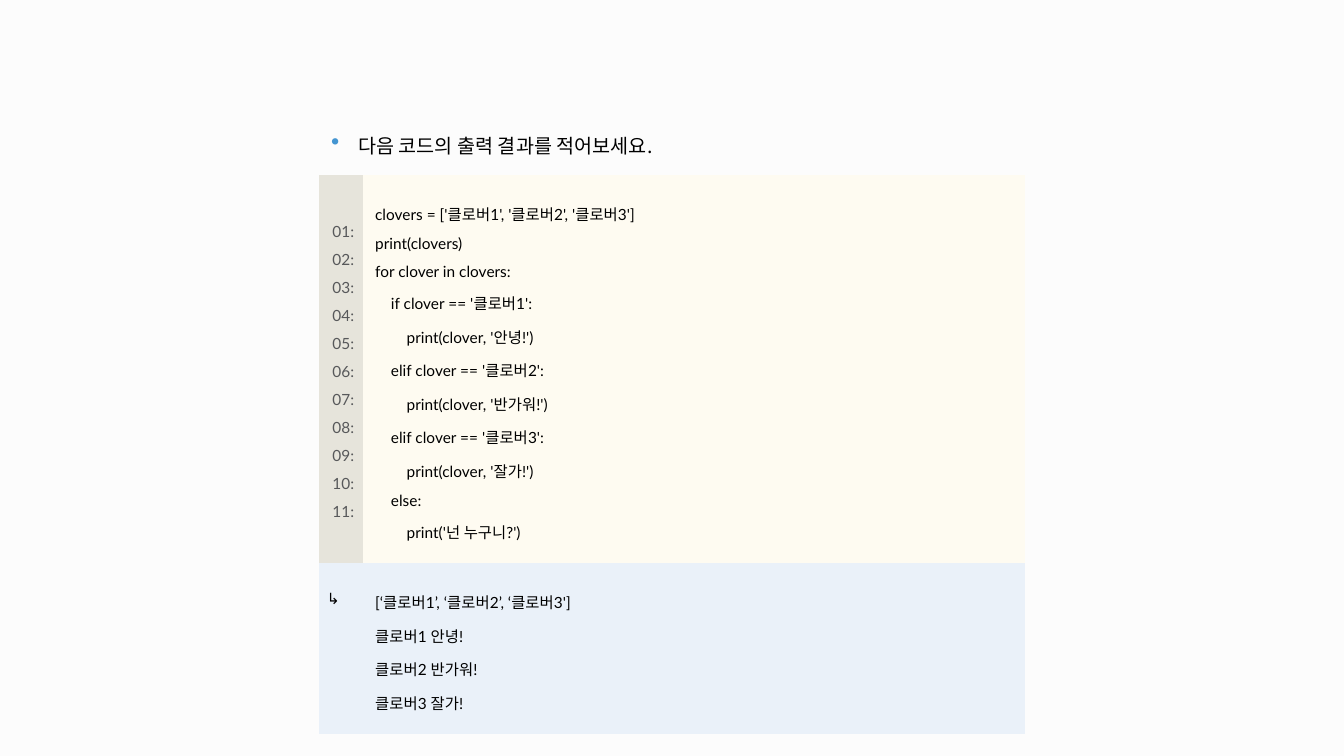
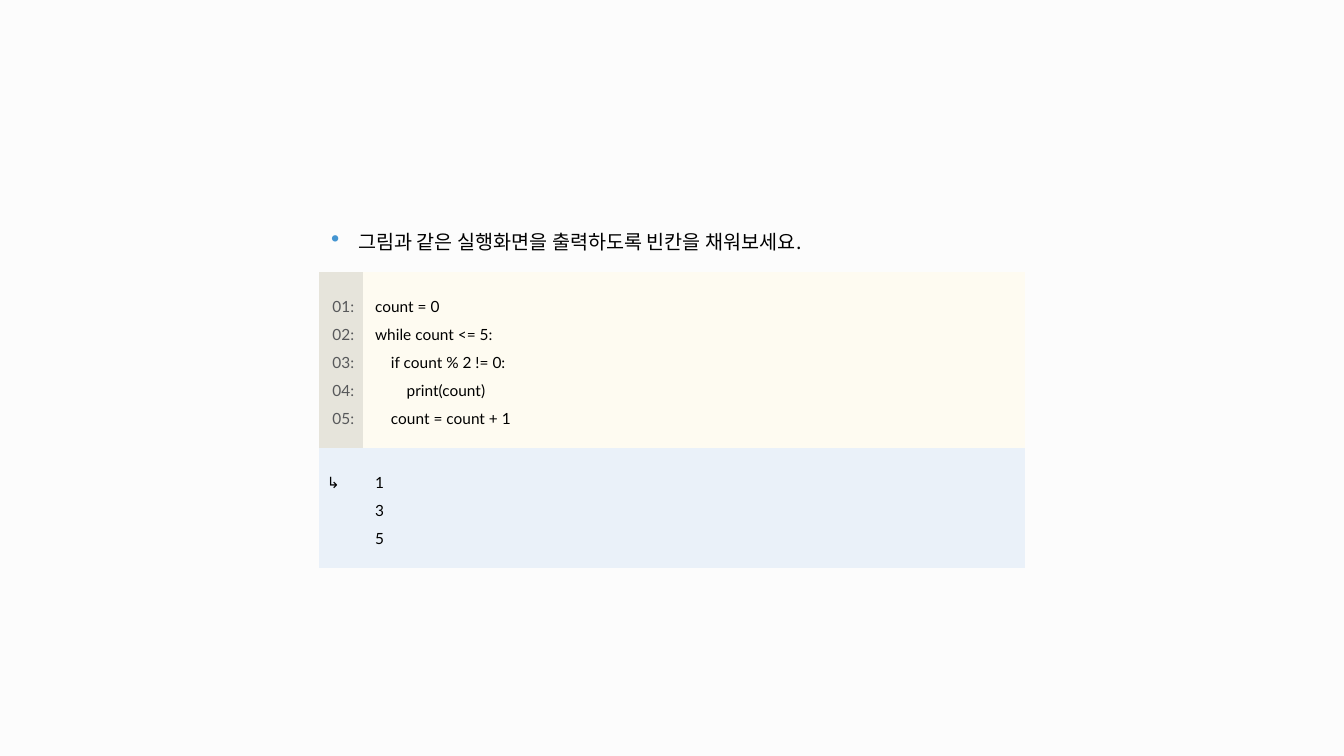
from lxml.etree import SubElement
from pptx import Presentation
from pptx.dml.color import RGBColor
from pptx.enum.text import MSO_ANCHOR, PP_ALIGN
from pptx.oxml.ns import qn
from pptx.util import Pt

BACKGROUND = RGBColor(0xFC, 0xFC, 0xFC)
BLACK = RGBColor(0, 0, 0)
NUMBER_GREY = RGBColor(0x57, 0x58, 0x5A)
GUTTER = RGBColor(0xE6, 0xE4, 0xDB)
CODE_CREAM = RGBColor(0xFE, 0xFB, 0xF1)
OUTPUT_BLUE = RGBColor(0xEA, 0xF1, 0xF9)
BULLET_BLUE = RGBColor(0x44, 0x95, 0xD1)
LATIN_FONT = "Lato"
KOREAN_FONT = "Noto Sans CJK KR"
NO_STYLE_NO_GRID = "{2D5ABB26-0587-4C30-8999-92F81FD0307C}"

SLIDE_WIDTH, SLIDE_HEIGHT = 960, 540
COLUMN_WIDTHS = (31.5, 472.5)
TABLE_WIDTH = sum(COLUMN_WIDTHS)
TABLE_LEFT = (SLIDE_WIDTH - TABLE_WIDTH) / 2
QUESTION_HEIGHT = 44
LINE_HEIGHT = 19.8
QUESTION_MARGINS = (8.5, 3, 0, 11.5)
NUMBER_MARGINS = (3, 3, 0, 6)
TEXT_MARGINS = (8.5, 11.5, 0, 14.5)
ARROW_MARGINS = (5.5, 11.5, 0, 14.5)

EXERCISES = [
    {
        "top": 80,
        "question": "다음 코드의 출력 결과를 적어보세요.",
        "code": [
            "clovers = ['클로버1', '클로버2', '클로버3']",
            "print(clovers)",
            "for clover in clovers:",
            "    if clover == '클로버1':",
            "        print(clover, '안녕!')",
            "    elif clover == '클로버2':",
            "        print(clover, '반가워!')",
            "    elif clover == '클로버3':",
            "        print(clover, '잘가!')",
            "    else:",
            "        print('넌 누구니?')",
        ],
        "output": [
            "[‘클로버1’, ‘클로버2’, ‘클로버3']",
            "클로버1 안녕!",
            "클로버2 반가워!",
            "클로버3 잘가!",
        ],
    },
    {
        "top": 149,
        "question": "그림과 같은 실행화면을 출력하도록 빈칸을 채워보세요.",
        "code": [
            "count = 0",
            "while count <= 5:",
            "    if count % 2 != 0:",
            "        print(count)",
            "    count = count + 1",
        ],
        "output": ["1", "3", "5"],
    },
]


def fill_cell(cell, lines, margins, fill=None, color=BLACK, size=11, font=LATIN_FONT,
              align=PP_ALIGN.LEFT, anchor=MSO_ANCHOR.MIDDLE):
    cell.margin_left, cell.margin_top, cell.margin_right, cell.margin_bottom = map(Pt, margins)
    cell.vertical_anchor = anchor
    if fill is None:
        cell.fill.background()
    else:
        cell.fill.solid()
        cell.fill.fore_color.rgb = fill
    cell.text_frame.text = "\n".join(lines)
    for paragraph in cell.text_frame.paragraphs:
        paragraph.alignment = align
        paragraph.line_spacing = 1.5
        for run in paragraph.runs:
            run.font.size = Pt(size)
            run.font.bold = False
            run.font.color.rgb = color
            run.font.name = font
            SubElement(run.font._element, qn("a:ea"), typeface=KOREAN_FONT)


def add_bullet(paragraph):
    properties = paragraph._p.get_or_add_pPr()
    indent = Pt(19.5)
    properties.set("marL", str(indent))
    properties.set("indent", str(-indent))
    bullet_color = SubElement(properties, qn("a:buClr"))
    SubElement(bullet_color, qn("a:srgbClr"), val=str(BULLET_BLUE))
    SubElement(properties, qn("a:buSzPct"), val="125000")
    SubElement(properties, qn("a:buChar"), char="•")


def text_row_height(lines):
    return len(lines) * LINE_HEIGHT + TEXT_MARGINS[1] + TEXT_MARGINS[3]


def add_exercise(slide, exercise):
    code, output = exercise["code"], exercise["output"]
    row_heights = (QUESTION_HEIGHT, text_row_height(code), text_row_height(output))
    table = slide.shapes.add_table(
        len(row_heights), len(COLUMN_WIDTHS), Pt(TABLE_LEFT), Pt(exercise["top"]),
        Pt(TABLE_WIDTH), Pt(sum(row_heights))).table
    table.first_row = table.horz_banding = False
    table._tbl.tblPr.find(qn("a:tableStyleId")).text = NO_STYLE_NO_GRID
    for column, width in zip(table.columns, COLUMN_WIDTHS):
        column.width = Pt(width)
    for row, height in zip(table.rows, row_heights):
        row.height = Pt(height)

    question = table.cell(0, 0)
    question.merge(table.cell(0, 1))
    fill_cell(question, [exercise["question"]], QUESTION_MARGINS, size=14, font=KOREAN_FONT)
    add_bullet(question.text_frame.paragraphs[0])

    numbers = [f"{number:02}:" for number in range(1, len(code) + 1)]
    fill_cell(table.cell(1, 0), numbers, NUMBER_MARGINS, GUTTER, NUMBER_GREY,
              align=PP_ALIGN.CENTER)
    fill_cell(table.cell(1, 1), code, TEXT_MARGINS, CODE_CREAM)
    fill_cell(table.cell(2, 0), ["↳"], ARROW_MARGINS, OUTPUT_BLUE, anchor=MSO_ANCHOR.TOP)
    fill_cell(table.cell(2, 1), output, TEXT_MARGINS, OUTPUT_BLUE)


def main():
    presentation = Presentation()
    presentation.slide_width = Pt(SLIDE_WIDTH)
    presentation.slide_height = Pt(SLIDE_HEIGHT)
    master_fill = presentation.slide_master.background.fill
    master_fill.solid()
    master_fill.fore_color.rgb = BACKGROUND
    blank_layout = presentation.slide_layouts[6]
    for exercise in EXERCISES:
        add_exercise(presentation.slides.add_slide(blank_layout), exercise)
    presentation.save("out.pptx")


if __name__ == "__main__":
    main()
